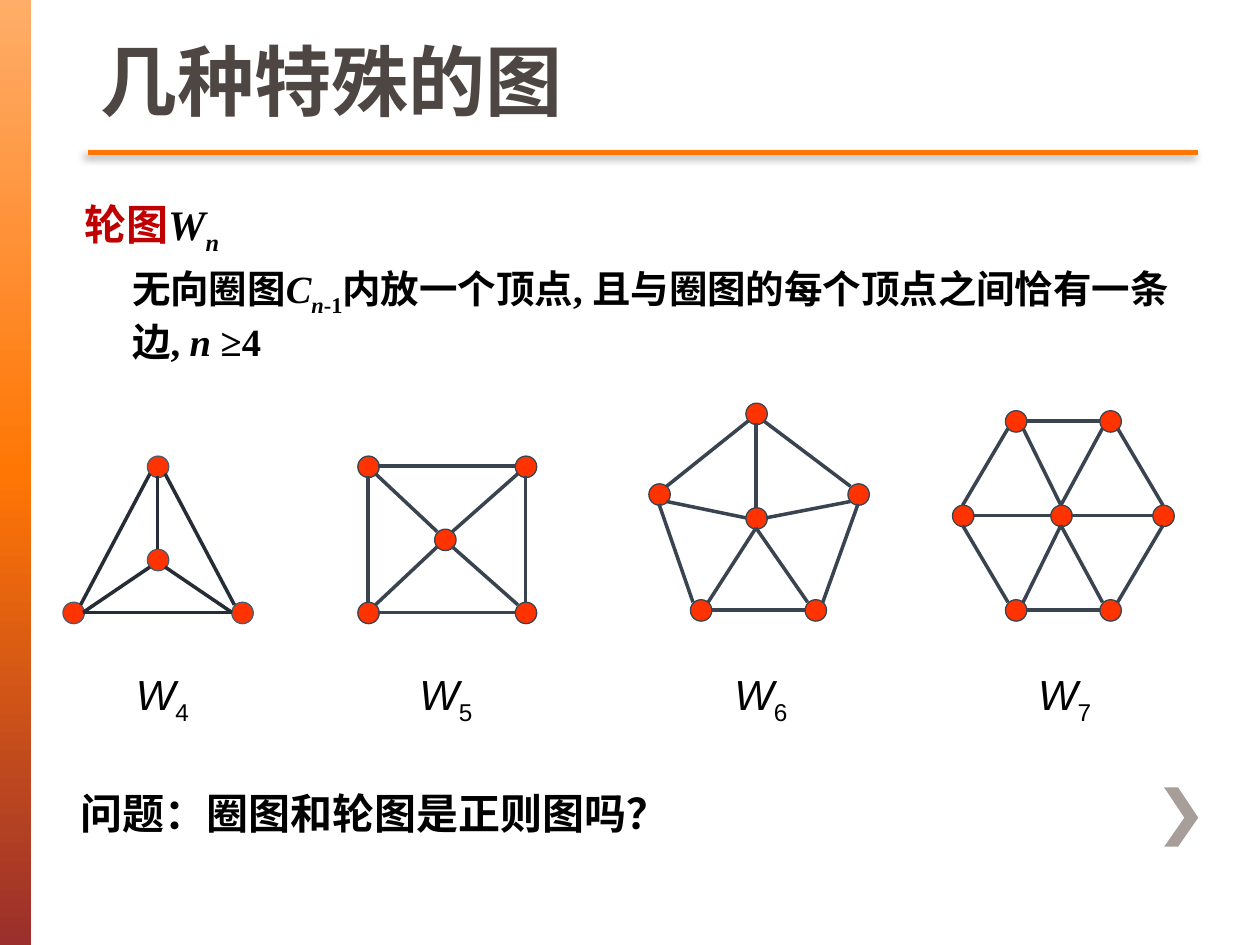
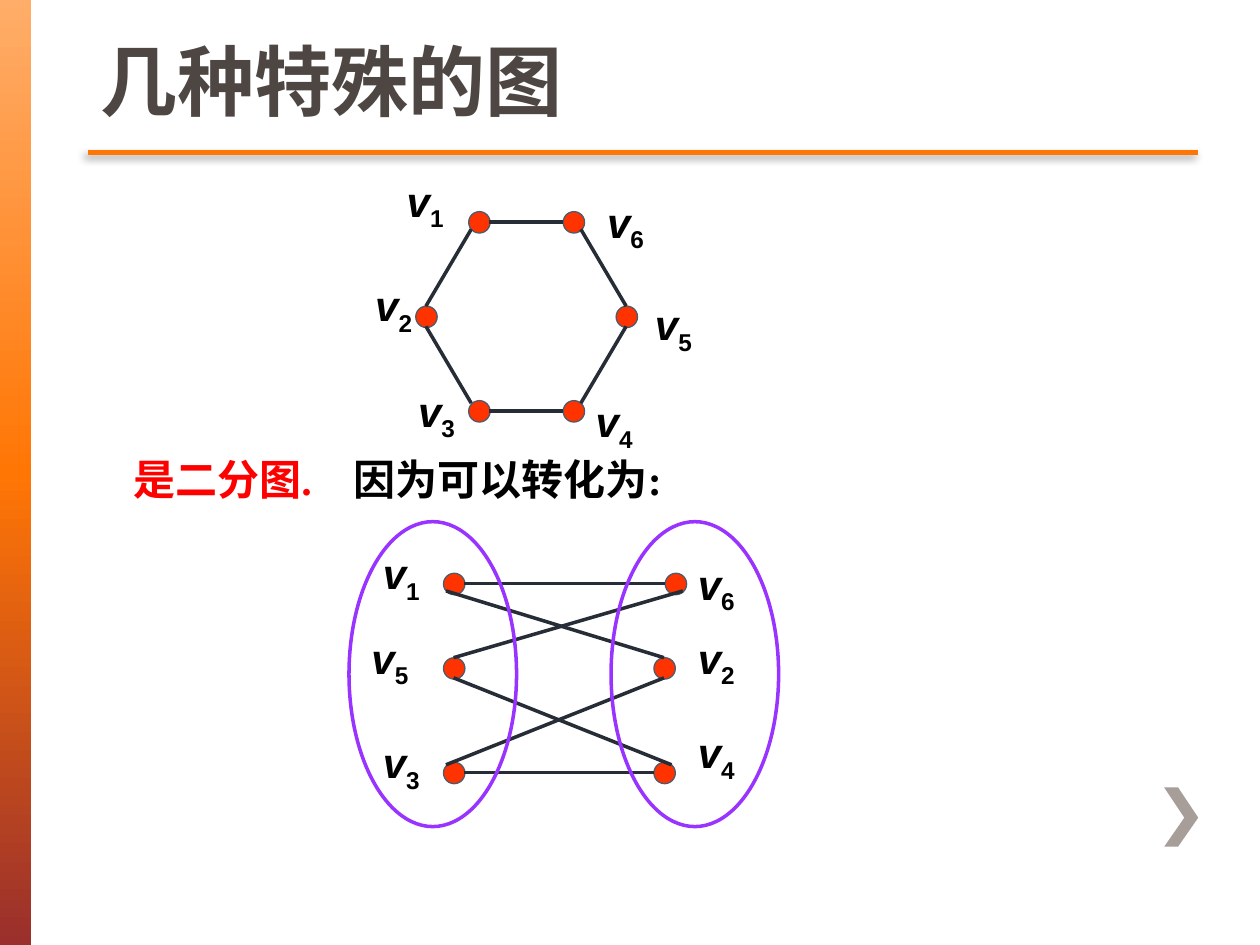
"""Build two slides on wheel graphs and a bipartite six-cycle."""
from dataclasses import dataclass
from typing import Optional

from lxml import etree
from pptx import Presentation
from pptx import util as u
from pptx.dml.color import RGBColor
from pptx.enum import shapes, text
from pptx.oxml import parse_xml
from pptx.oxml.ns import nsdecls, qn

COLORS = {
    "title": "4D4643", "rule": "FF7605", "band_top": "FFAD69", "band_end": "9A2F2C",
    "chevron": "A79D99", "black": "000000", "term": "C00000", "answer": "FF0000",
    "vertex": "FF3300", "slate": "4D5B6B", "steel": "3A4450", "ink": "262D36",
    "part": "9933FF",
}
SANS, SERIF = "Arial", "Times New Roman"
RADIUS, DIAGONAL = 0.08, 0.06
SITES = {
    "n": (0, -RADIUS), "s": (0, RADIUS), "w": (-RADIUS, 0), "e": (RADIUS, 0),
    "nw": (-DIAGONAL, -DIAGONAL), "ne": (DIAGONAL, -DIAGONAL),
    "sw": (-DIAGONAL, DIAGONAL), "se": (DIAGONAL, DIAGONAL),
}
HEXAGON_RIM = "2s-0nw 0e-1w 1ne-3s 3n-5se 2n-4sw 4e-5w"
HEXAGON = [(8.06, 4.84), (8.81, 4.84), (7.64, 4.09), (9.23, 4.09), (8.06, 3.34), (8.81, 3.34)]


@dataclass
class Span:
    """A stretch of text with its own style."""
    words: str
    italic: Optional[bool] = None
    sub: bool = False
    color: Optional[str] = None


@dataclass
class Style:
    """Font settings shared by a whole paragraph."""
    size: int = 24
    font: str = SANS
    bold: bool = False
    color: Optional[str] = "black"


@dataclass
class Graph:
    """Vertex centres, and edges written as vertex and compass site at both ends."""
    vertices: list[tuple[float, float]]
    edges: str
    outline: str = "steel"
    edge_color: str = "steel"


@dataclass
class Label:
    """A letter with a subscript at the left top corner of its box."""
    letter: str
    index: str
    left: float
    top: float
    bold: bool = False


WHEELS = [
    Graph([(0.58, 4.86), (1.92, 4.86), (1.25, 3.7), (1.25, 4.44)],
          "0ne-2sw 0e-1w 1nw-2se 0e-3sw 1w-3se 3n-2s", "slate", "ink"),
    Graph([(2.92, 4.86), (4.17, 4.86), (2.92, 3.7), (4.17, 3.7), (3.53, 4.28)],
          "0n-2s 2e-3w 3s-1n 0e-1w 0ne-4sw 4nw-2se 4ne-3sw 4se-1nw"),
    Graph([(5.56, 4.84), (6.47, 4.84), (5.23, 3.92), (6.81, 3.92), (6, 3.28), (6, 4.11)],
          "2s-0nw 0e-1w 1ne-3s 3nw-4se 2ne-4sw 0ne-5s 1nw-5s 2se-5w 5e-3sw 5n-4s"),
    Graph(HEXAGON + [(8.42, 4.09)],
          HEXAGON_RIM + " 0ne-6s 1nw-6s 2e-6w 6e-3w 6n-4se 6n-5sw"),
]
WHEEL_LABELS = [Label("W", str(order), left, 5.26)
                for order, left in zip(range(4, 8), (0.98, 3.23, 5.73, 8.14))]
CYCLES = [
    Graph([(x - 4.26, y - 1.58) for x, y in HEXAGON], HEXAGON_RIM, "slate", "ink"),
    Graph([(3.6, 6.13), (5.27, 6.13), (5.27, 5.3), (3.6, 5.3), (3.6, 4.63), (5.36, 4.63)],
          HEXAGON_RIM, "slate", "ink"),
]
CYCLE_LABELS = [Label("v", index, left, top, True) for index, left, top in [
    ("1", 3.13, 1.34), ("2", 2.88, 2.17), ("3", 3.22, 3.01),
    ("4", 4.63, 3.09), ("5", 5.1, 2.32), ("6", 4.72, 1.51),
    ("1", 2.94, 4.3), ("5", 2.85, 4.97), ("3", 2.94, 5.8),
    ("6", 5.44, 4.38), ("2", 5.44, 4.97), ("4", 5.44, 5.72),
]]


def rgb(name: str) -> RGBColor:
    """Look up a palette colour."""
    return RGBColor.from_string(COLORS[name])


def add_box(slide, left: float, top: float, width: float, height: float):
    """Add a wrapping text box and return its text frame."""
    frame = slide.shapes.add_textbox(*map(u.Inches, (left, top, width, height))).text_frame
    frame.word_wrap = True
    return frame


def write(paragraph, spans: list[Span], style: Style) -> None:
    """Fill a paragraph with styled spans."""
    font = paragraph.font
    font.size, font.name, font.bold = u.Pt(style.size), style.font, style.bold
    if style.color:
        font.color.rgb = rgb(style.color)
    for span in spans:
        run = paragraph.add_run()
        run.text = span.words
        if span.italic is not None:
            run.font.italic = span.italic
        if span.color:
            run.font.color.rgb = rgb(span.color)
        if span.sub:
            run.font._element.set("baseline", "-25000")


def add_line(slide, start: tuple[float, float], end: tuple[float, float],
             color: str, width: float):
    """Draw a straight connector and return its empty effect list."""
    line = slide.shapes.add_connector(shapes.MSO_CONNECTOR.STRAIGHT,
                                      *map(u.Inches, start + end))
    line.line.color.rgb = rgb(color)
    line.line.width = u.Pt(width)
    return etree.SubElement(line._element.spPr, qn("a:effectLst"))


def add_graph(slide, graph: Graph) -> None:
    """Draw the vertices of a graph and the edges between their sites."""
    for x, y in graph.vertices:
        vertex = slide.shapes.add_shape(
            shapes.MSO_SHAPE.FLOWCHART_CONNECTOR, u.Inches(x - RADIUS), u.Inches(y - RADIUS),
            u.Inches(0.17), u.Inches(0.17))
        vertex.shadow.inherit = False
        vertex.fill.solid()
        vertex.fill.fore_color.rgb = rgb("vertex")
        vertex.line.color.rgb = rgb(graph.outline)
        vertex.line.width = u.Pt(0.75)

    def site(end: str) -> tuple[float, float]:
        """Return the point of a vertex on the given compass side."""
        x, y = graph.vertices[int(end[0])]
        dx, dy = SITES[end[1:]]
        return x + dx, y + dy

    for edge in graph.edges.split():
        start, end = map(site, edge.split("-"))
        add_line(slide, start, end, graph.edge_color, 2)


def add_label(slide, label: Label) -> None:
    """Write a vertex or graph name with its subscript."""
    frame = add_box(slide, label.left, label.top, 0.8, 0.5)
    write(frame.paragraphs[0], [Span(label.letter, True), Span(label.index, sub=True)],
          Style(bold=label.bold))


def add_part(slide, left: float) -> None:
    """Draw the oval round one part of the bipartite graph."""
    part = slide.shapes.add_shape(shapes.MSO_SHAPE.OVAL, u.Inches(left), u.Inches(4.14),
                                  u.Inches(1.33), u.Inches(2.42))
    part.shadow.inherit = False
    part.fill.background()
    part.line.color.rgb = rgb("part")
    part.line.width = u.Pt(2)


def add_band(slide) -> None:
    """Draw the gradient band on the left edge."""
    band = slide.shapes.add_shape(shapes.MSO_SHAPE.RECTANGLE, 0, 0, u.Inches(0.25), u.Inches(7.5))
    band.shadow.inherit = False
    band.line.fill.background()
    stops = "".join(
        f'<a:gs pos="{position}"><a:srgbClr val="{COLORS[name]}"/></a:gs>'
        for position, name in ((0, "band_top"), (50000, "rule"), (100000, "band_end")))
    gradient = parse_xml(f'<a:gradFill {nsdecls("a")} rotWithShape="1"><a:gsLst>{stops}</a:gsLst>'
                         '<a:lin ang="5400000" scaled="0"/></a:gradFill>')
    band._element.spPr.find(qn("a:prstGeom")).addnext(gradient)


def add_chevron(slide) -> None:
    """Draw the arrow mark at the lower right."""
    points = [(u.Inches(x), u.Inches(y)) for x, y in (
        (9.35, 6.25), (9.24, 6.25), (9.4, 6.49), (9.24, 6.72), (9.35, 6.72), (9.51, 6.49))]
    outline = slide.shapes.build_freeform(*points[0], scale=1.0)
    outline.add_line_segments(points[1:], close=True)
    chevron = outline.convert_to_shape()
    chevron.shadow.inherit = False
    chevron.fill.solid()
    chevron.fill.fore_color.rgb = rgb("chevron")
    chevron.line.fill.background()


def start_slide(deck):
    """Add a blank slide with the band, chevron, rule and title."""
    slide = deck.slides.add_slide(deck.slide_layouts[6])
    add_band(slide)
    add_chevron(slide)
    effects = add_line(slide, (0.7, 1.21), (9.51, 1.21), "rule", 2.5)
    effects.append(parse_xml(
        f'<a:outerShdw {nsdecls("a")} blurRad="{u.Pt(5)}" dist="{u.Pt(3)}" dir="8100000" '
        f'rotWithShape="0"><a:srgbClr val="{COLORS["black"]}"><a:alpha val="45000"/></a:srgbClr>'
        '</a:outerShdw>'))
    title = add_box(slide, 0.7, 0, 8.76, 1.05)
    title.vertical_anchor = text.MSO_ANCHOR.BOTTOM
    write(title.paragraphs[0], [Span("几种特殊的图")], Style(44, bold=True, color="title"))
    return slide


def build_wheels(deck) -> None:
    """Build the slide that defines wheel graphs."""
    slide = start_slide(deck)
    definition = add_box(slide, 0.57, 1.53, 9.09, 1.5)
    write(definition.paragraphs[0],
          [Span("轮图", color="term"), Span("W", True, color="black"),
           Span("n", True, True, "black")],
          Style(font=SERIF, bold=True, color=None))
    meaning = definition.add_paragraph()
    meaning.space_before = u.Pt(5)
    meaning._p.get_or_add_pPr().set("marL", str(u.Inches(0.38)))
    write(meaning,
          [Span("无向圈图"), Span("C", True), Span("n", True, True), Span("-1", sub=True),
           Span("内放一个顶点, 且与圈图的每个顶点之间恰有一条边, "), Span("n ", True), Span("≥4")],
          Style(22, SERIF, True))
    for wheel in WHEELS:
        add_graph(slide, wheel)
    for label in WHEEL_LABELS:
        add_label(slide, label)
    question = add_box(slide, 0.54, 6.2, 5.27, 0.5)
    write(question.paragraphs[0], [Span("问题：圈图和轮图是正则图吗？")], Style(bold=True))


def build_bipartite(deck) -> None:
    """Build the slide that redraws the six-cycle as a bipartite graph."""
    slide = start_slide(deck)
    for cycle in CYCLES:
        add_graph(slide, cycle)
    for label in CYCLE_LABELS:
        add_label(slide, label)
    answer = add_box(slide, 0.96, 3.55, 6.38, 0.55).paragraphs[0]
    tabs = etree.SubElement(answer._p.get_or_add_pPr(), qn("a:tabLst"))
    etree.SubElement(tabs, qn("a:tab"), pos=str(u.Inches(1.75)), algn="l")
    write(answer,
          [Span("是二分图.", color="answer"), Span("\t因为可以转化为:", color="black")],
          Style(font=SERIF, bold=True, color=None))
    for left in (2.77, 4.85):
        add_part(slide, left)


def main() -> None:
    """Build and save the deck."""
    deck = Presentation()
    deck.slide_width, deck.slide_height = u.Inches(10), u.Inches(7.5)
    build_wheels(deck)
    build_bipartite(deck)
    deck.save("out.pptx")


if __name__ == "__main__":
    main()
